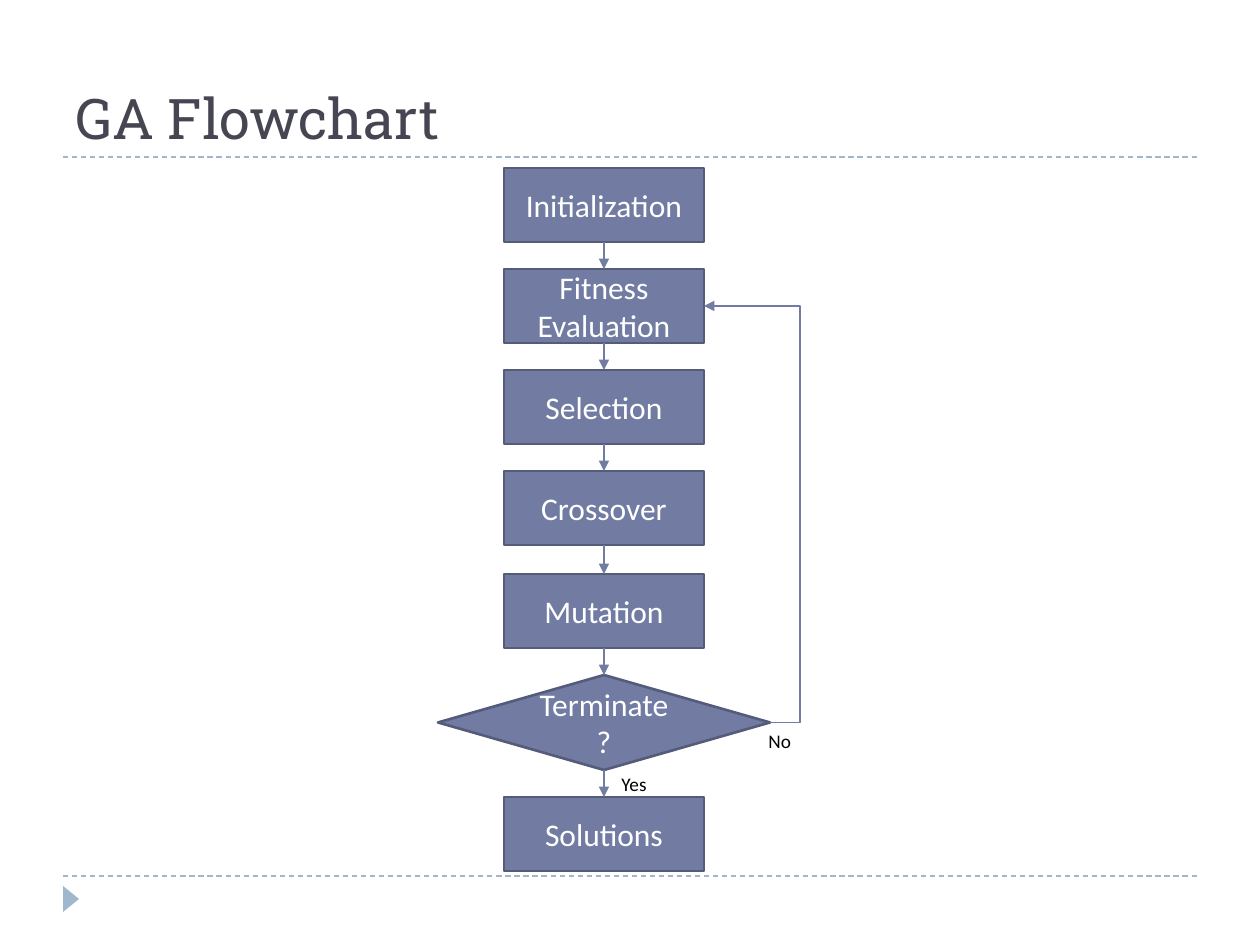
import pptx
import pptx.util
import pptx.dml.color
import pptx.enum.dml
import pptx.enum.shapes
import pptx.enum.text
import pptx.oxml
import pptx.oxml.ns

SCALE = 914400 / 126  # EMU per px
COLORS = {
    "rule": "9FB8CD",
    "title": "464653",
    "node": "727CA3",
    "node_line": "545C79",
    "node_text": "FFFFFF",
    "label": "000000",
}
SHAPES = pptx.enum.shapes.MSO_SHAPE
CONNECTORS = pptx.enum.shapes.MSO_CONNECTOR
ANCHORS = pptx.enum.text.MSO_ANCHOR
ALIGNS = pptx.enum.text.PP_ALIGN


def write_text(shape, text, color, size, font="Calibri", align=ALIGNS.LEFT,
               **frame_format):
    frame = shape.text_frame
    for name, value in frame_format.items():
        setattr(frame, name, value)
    para = frame.paragraphs[0]
    para.alignment = align
    span = para.add_run()
    span.text = text
    for name, value in {"name": font, "size": pptx.util.Pt(size)}.items():
        setattr(span.font, name, value)
    span.font.color.rgb = pptx.dml.color.RGBColor.from_string(COLORS[color])


def style_connector(connector, color, arrow=False):
    connector.line.color.rgb = pptx.dml.color.RGBColor.from_string(COLORS[color])
    connector.line.width = pptx.util.Pt(0.75)
    properties = connector._element.spPr
    properties.append(pptx.oxml.parse_xml(
        f"<a:effectLst {pptx.oxml.ns.nsdecls('a')}/>"))
    if arrow:
        connector.line._get_or_add_ln().append(pptx.oxml.parse_xml(
            f"<a:tailEnd {pptx.oxml.ns.nsdecls('a')} type='triangle'/>"))


deck = pptx.Presentation()
deck.slide_width = pptx.util.Inches(10)
deck.slide_height = pptx.util.Inches(7.5)
page = deck.slides.add_slide(deck.slide_layouts[6])

# Dashed rules below the title and above the footer
for y in (876, 157):
    ends = [round(v * SCALE) for v in (63, y, 1197, y)]
    rule = page.shapes.add_connector(CONNECTORS.STRAIGHT, *ends)
    rule.line.dash_style = pptx.enum.dml.MSO_LINE.DASH
    style_connector(rule, "rule")

# Footer marker
bounds = [round(v * SCALE) for v in (58, 891, 26, 16)]
marker = page.shapes.add_shape(SHAPES.ISOSCELES_TRIANGLE, *bounds)
marker.rotation = 90
marker.shadow.inherit = False
marker.fill.solid()
marker.fill.fore_color.rgb = pptx.dml.color.RGBColor.from_string(COLORS["rule"])
marker.line.fill.background()

# Title
bounds = [round(v * SCALE) for v in (63, 21, 1134, 136)]
title = page.shapes.add_textbox(*bounds)
write_text(title, "GA Flowchart", "title", 32, "Roboto Slab",
           word_wrap=True, vertical_anchor=ANCHORS.BOTTOM)

# Flowchart steps, all centred on one axis
AXIS = 604
STEP = (SHAPES.RECTANGLE, 200, 74)
DECISION = (SHAPES.FLOWCHART_DECISION, 332, 95)
steps = [
    ("Initialization", 168, STEP),
    ("Fitness Evaluation", 269, STEP),
    ("Selection", 370, STEP),
    ("Crossover", 471, STEP),
    ("Mutation", 574, STEP),
    ("Terminate?", 675, DECISION),
    ("Solutions", 797, STEP),
]
nodes = {}
for text, top, (kind, width, height) in steps:
    bounds = [round(v * SCALE) for v in (AXIS - width // 2, top, width, height)]
    node = page.shapes.add_shape(kind, *bounds)
    node.shadow.inherit = False
    node.fill.solid()
    node.fill.fore_color.rgb = pptx.dml.color.RGBColor.from_string(COLORS["node"])
    node.line.color.rgb = pptx.dml.color.RGBColor.from_string(COLORS["node_line"])
    node.line.width = pptx.util.Pt(1.5)
    write_text(node, text, "node_text", 18, align=ALIGNS.CENTER,
               word_wrap=True, vertical_anchor=ANCHORS.MIDDLE)
    nodes[text] = node

# Arrows from each step to the next
chain = list(nodes.values())
for upper, lower in zip(chain, chain[1:]):
    arrow = page.shapes.add_connector(CONNECTORS.STRAIGHT, 0, 0, 0, 0)
    arrow.begin_connect(upper, 2)
    arrow.end_connect(lower, 0)
    style_connector(arrow, "node", arrow=True)

# Loop back to the evaluation, bending 30 px right of the decision
loop = page.shapes.add_connector(CONNECTORS.ELBOW, 0, 0, 0, 0)
loop.begin_connect(nodes["Terminate?"], 3)
loop.end_connect(nodes["Fitness Evaluation"], 3)
style_connector(loop, "node", arrow=True)
bend = round(-30 * SCALE / loop.width * 100000)
geometry = loop._element.spPr.find(pptx.oxml.ns.qn("a:prstGeom"))
for guides in geometry.findall(pptx.oxml.ns.qn("a:avLst")):
    geometry.remove(guides)
geometry.append(pptx.oxml.parse_xml(
    f"<a:avLst {pptx.oxml.ns.nsdecls('a')}>"
    f"<a:gd name='adj1' fmla='val {bend}'/></a:avLst>"))

# Branch labels
for text, left, top, width in (("Yes", 609, 766, 54), ("No", 756, 723, 52)):
    bounds = [round(v * SCALE) for v in (left, top, width, 37)]
    label = page.shapes.add_textbox(*bounds)
    write_text(label, text, "label", 11, word_wrap=False,
               auto_size=pptx.enum.text.MSO_AUTO_SIZE.SHAPE_TO_FIT_TEXT)

deck.save("out.pptx")
